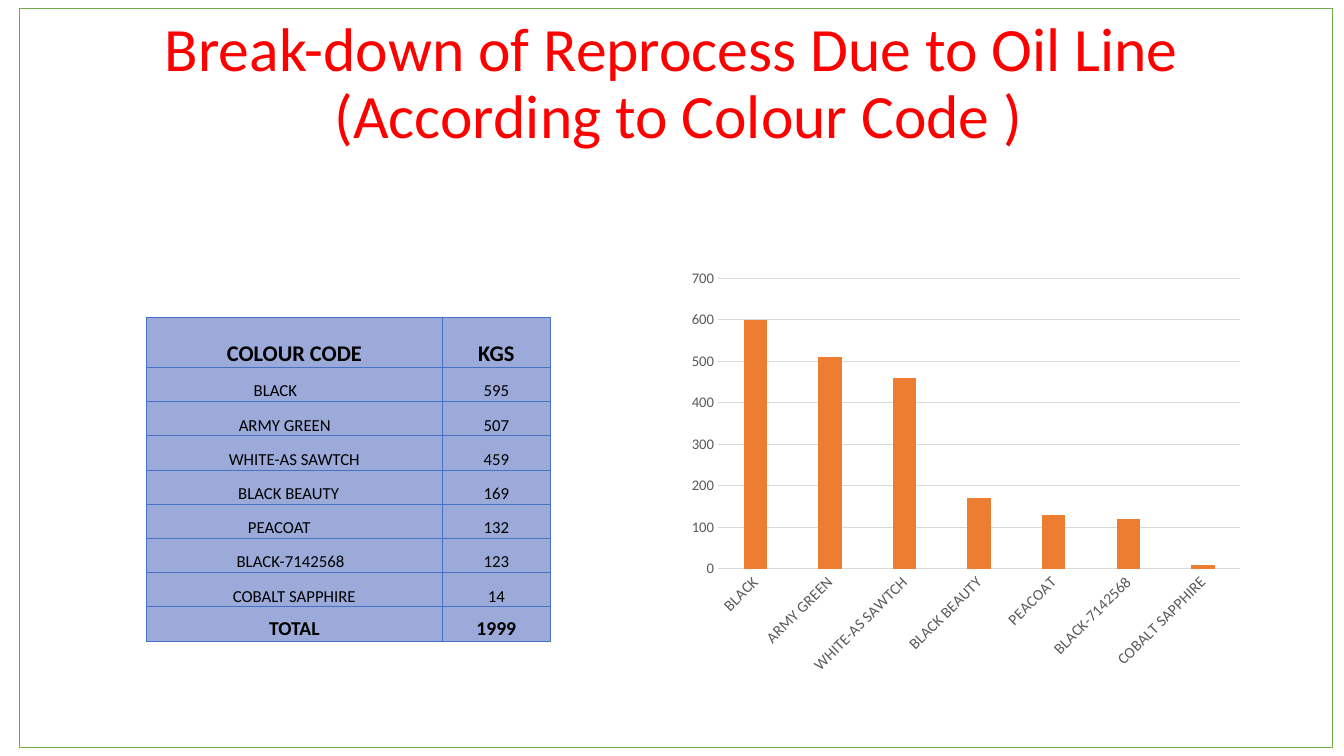
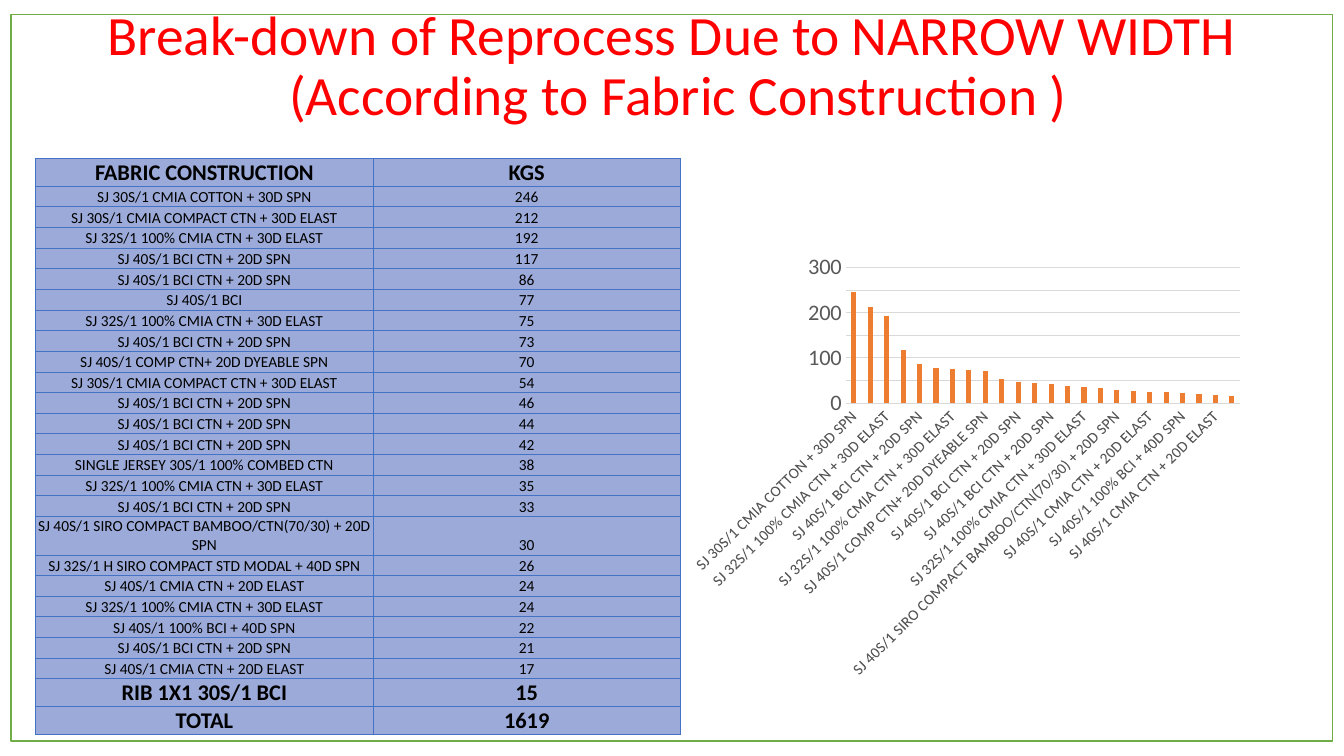
import dataclasses

import lxml.etree
import pptx
import pptx.chart.data
import pptx.dml.color
import pptx.enum.chart
import pptx.enum.shapes
import pptx.enum.text
import pptx.oxml.ns
import pptx.util

Pt = pptx.util.Pt
RGBColor = pptx.dml.color.RGBColor
qn = pptx.oxml.ns.qn

FONT = "Calibri"
RED = RGBColor(0xFF, 0x00, 0x00)
BLACK = RGBColor(0x00, 0x00, 0x00)
BLUE = RGBColor(0x44, 0x72, 0xC4)
PALE_BLUE = RGBColor(0x9B, 0xAA, 0xD9)
GREEN = RGBColor(0x70, 0xAD, 0x47)
ORANGE = RGBColor(0xED, 0x7D, 0x31)
GREY = RGBColor(0x59, 0x59, 0x59)
LIGHT_GREY = RGBColor(0xD9, 0xD9, 0xD9)
SPACE_WIDTH = 2.71


@dataclasses.dataclass(frozen=True)
class RowStyle:
    """Height and lettering of a table row."""
    height: float
    size: float
    bold: bool = False


COLOURS = [
    ("BLACK", 595),
    ("ARMY GREEN", 507),
    ("WHITE-AS SAWTCH", 459),
    ("BLACK BEAUTY", 169),
    ("PEACOAT", 132),
    ("BLACK-7142568", 123),
    ("COBALT SAPPHIRE", 14),
]
FABRICS = [
    ("SJ 30S/1 CMIA COTTON + 30D SPN", 246),
    ("SJ 30S/1 CMIA COMPACT CTN + 30D ELAST", 212),
    ("SJ 32S/1 100% CMIA CTN + 30D ELAST", 192),
    ("SJ 40S/1 BCI CTN + 20D SPN", 117),
    ("SJ 40S/1 BCI CTN + 20D SPN", 86),
    ("SJ 40S/1 BCI", 77),
    ("SJ 32S/1 100% CMIA CTN + 30D ELAST", 75),
    ("SJ 40S/1 BCI CTN + 20D SPN", 73),
    ("SJ 40S/1 COMP CTN+ 20D DYEABLE SPN", 70),
    ("SJ 30S/1 CMIA COMPACT CTN + 30D ELAST", 54),
    ("SJ 40S/1 BCI CTN + 20D SPN", 46),
    ("SJ 40S/1 BCI CTN + 20D SPN", 44),
    ("SJ 40S/1 BCI CTN + 20D SPN", 42),
    ("SINGLE JERSEY 30S/1 100% COMBED CTN", 38),
    ("SJ 32S/1 100% CMIA CTN + 30D ELAST", 35),
    ("SJ 40S/1 BCI CTN + 20D SPN", 33),
    ("SJ 40S/1 SIRO COMPACT BAMBOO/CTN(70/30) + 20D SPN", 30),
    ("SJ 32S/1 H SIRO COMPACT STD MODAL + 40D SPN", 26),
    ("SJ 40S/1 CMIA CTN + 20D ELAST", 24),
    ("SJ 32S/1 100% CMIA CTN + 30D ELAST", 24),
    ("SJ 40S/1 100% BCI + 40D SPN", 22),
    ("SJ 40S/1 BCI CTN + 20D SPN", 21),
    ("SJ 40S/1 CMIA CTN + 20D ELAST", 17),
    ("RIB 1X1 30S/1 BCI", 15),
]


def place(sp, box):
    """Move and size a shape to a box in points."""
    sp.left, sp.top, sp.width, sp.height = map(Pt, box)


def style_font(font, size, color, bold=False):
    """Apply the deck font with a size, colour and weight."""
    font.name, font.size, font.bold = FONT, Pt(size), bold
    font.color.rgb = color


def set_title(s, lines, box, size, inset):
    """Fill and format the two-line title placeholder."""
    sp = s.shapes.title
    place(sp, box)
    tf = sp.text_frame
    tf.word_wrap = True
    tf.auto_size = pptx.enum.text.MSO_AUTO_SIZE.NONE
    tf.vertical_anchor = pptx.enum.text.MSO_ANCHOR.TOP
    tf.margin_top = Pt(inset)
    p = tf.paragraphs[0]
    p.alignment = pptx.enum.text.PP_ALIGN.CENTER
    p.line_spacing = 0.9
    for i, line in enumerate(lines):
        if i:
            p.add_line_break()
        r = p.add_run()
        r.text = line
        style_font(r.font, size, RED)


def set_borders(cell):
    """Draw a thin blue line on every side of a cell."""
    tc_pr = cell._tc.get_or_add_tcPr()
    for i, side in enumerate(("a:lnL", "a:lnR", "a:lnT", "a:lnB")):
        ln = lxml.etree.Element(qn(side), w=str(Pt(0.5)))
        fill = lxml.etree.SubElement(ln, qn("a:solidFill"))
        lxml.etree.SubElement(fill, qn("a:srgbClr"), val=str(BLUE))
        tc_pr.insert(i, ln)


def fill_cell(cell, text, style, right_inset=0.5):
    """Write and format one table cell."""
    cell.fill.solid()
    cell.fill.fore_color.rgb = PALE_BLUE
    set_borders(cell)
    cell.vertical_anchor = pptx.enum.text.MSO_ANCHOR.BOTTOM
    cell.margin_top = cell.margin_bottom = 0
    cell.margin_left, cell.margin_right = Pt(0.5), Pt(right_inset)
    p = cell.text_frame.paragraphs[0]
    p.alignment = pptx.enum.text.PP_ALIGN.CENTER
    r = p.add_run()
    r.text = text
    style_font(r.font, style.size, BLACK, style.bold)


def add_weight_table(s, left, top, widths, rows, name_length=0):
    """Add a name and weight table, padding plain names to a length."""
    height = sum(style.height for style, _, _ in rows)
    frame = s.shapes.add_table(len(rows), 2, Pt(left), Pt(top),
                               Pt(sum(widths)), Pt(height))
    table = frame.table
    for column, width in zip(table.columns, widths):
        column.width = Pt(width)
    for i, (style, name, weight) in enumerate(rows):
        table.rows[i].height = Pt(style.height)
        missing = 0 if style.bold else max(0, name_length - len(name))
        fill_cell(table.cell(i, 0), name, style, 0.5 + SPACE_WIDTH * missing)
        fill_cell(table.cell(i, 1), str(weight), style)


def style_axis(axis, size):
    """Format the labels of an axis and drop its tick marks."""
    axis.major_tick_mark = pptx.enum.chart.XL_TICK_MARK.NONE
    axis.minor_tick_mark = pptx.enum.chart.XL_TICK_MARK.NONE
    style_font(axis.tick_labels.font, size, GREY)


def style_line(line):
    """Give a chart line its light grey look."""
    line.color.rgb = LIGHT_GREY
    line.width = Pt(0.75)


def add_weight_chart(s, box, data, value_size, unit):
    """Add a column chart of weights by name."""
    chart_data = pptx.chart.data.CategoryChartData(number_format="0")
    chart_data.categories = [name for name, _ in data]
    chart_data.add_series("Series 1", [weight for _, weight in data])
    chart = s.shapes.add_chart(
        pptx.enum.chart.XL_CHART_TYPE.COLUMN_CLUSTERED,
        *map(Pt, box), chart_data).chart
    chart.has_title = chart.has_legend = False
    style_font(chart.font, 10, BLACK)
    plot = chart.plots[0]
    plot.gap_width, plot.overlap = 219, -27
    plot.vary_by_categories = False
    fill = plot.series[0].format.fill
    fill.solid()
    fill.fore_color.rgb = ORANGE
    names, values = chart.category_axis, chart.value_axis
    style_axis(names, 11)
    style_line(names.format.line)
    body = names._element.find(qn("c:txPr")).find(qn("a:bodyPr"))
    body.set("rot", "-2700000")
    body.set("vert", "horz")
    style_axis(values, value_size)
    values.major_unit = unit
    values.format.line.fill.background()
    values.has_major_gridlines = True
    style_line(values.major_gridlines.format.line)


def add_frame(s, box):
    """Add the green outline around the slide."""
    sp = s.shapes.add_shape(pptx.enum.shapes.MSO_SHAPE.RECTANGLE,
                            *map(Pt, box))
    sp.shadow.inherit = False
    sp.fill.background()
    sp.line.color.rgb = GREEN
    sp.line.width = Pt(1)


def add_colour_slide(prs):
    """Build the break-down by colour code."""
    s = prs.slides.add_slide(prs.slide_layouts[5])
    set_title(s, ["Break-down of Reprocess Due to Oil Line",
                  " (According to Colour Code )"], (66, 6, 828, 162), 44, 7.3)
    body = RowStyle(24.45, 12)
    rows = [(RowStyle(35.3, 16, True), "COLOUR CODE", "KGS")]
    rows += [(body, name, weight) for name, weight in COLOURS]
    rows.append((RowStyle(24.45, 14, True), "TOTAL", 1999))
    add_weight_table(s, 104.5, 227, (211.5, 77), rows, 15)
    rounded = [(name, round(weight, -1)) for name, weight in COLOURS]
    add_weight_chart(s, (486, 186.5, 408, 301), rounded, 10.5, 100)
    add_frame(s, (14, 6, 938, 528))


def add_fabric_slide(prs):
    """Build the break-down by fabric construction."""
    s = prs.slides.add_slide(prs.slide_layouts[5])
    set_title(s, ["Break-down of Reprocess Due to NARROW WIDTH",
                  " (According to Fabric Construction )"],
              (66, 5.3, 828, 122), 39.6, 0)
    strong = RowStyle(20, 16, True)
    body, tall = RowStyle(14.75, 11), RowStyle(27.5, 11)
    rows = [(strong, "FABRIC CONSTRUCTION", "KGS")]
    rows += [(tall if "BAMBOO" in name else body, name, weight)
             for name, weight in FABRICS[:-1]]
    rows += [(strong, *FABRICS[-1]), (strong, "TOTAL", 1619)]
    add_weight_table(s, 25.5, 113, (241, 219.5), rows)
    add_weight_chart(s, (486, 181.5, 408, 306), FABRICS, 16, 50)
    add_frame(s, (8, 10.3, 944, 519))


def main():
    """Build and save the presentation."""
    prs = pptx.Presentation()
    prs.slide_width, prs.slide_height = Pt(960), Pt(540)
    add_colour_slide(prs)
    add_fabric_slide(prs)
    prs.save("out.pptx")


if __name__ == "__main__":
    main()
